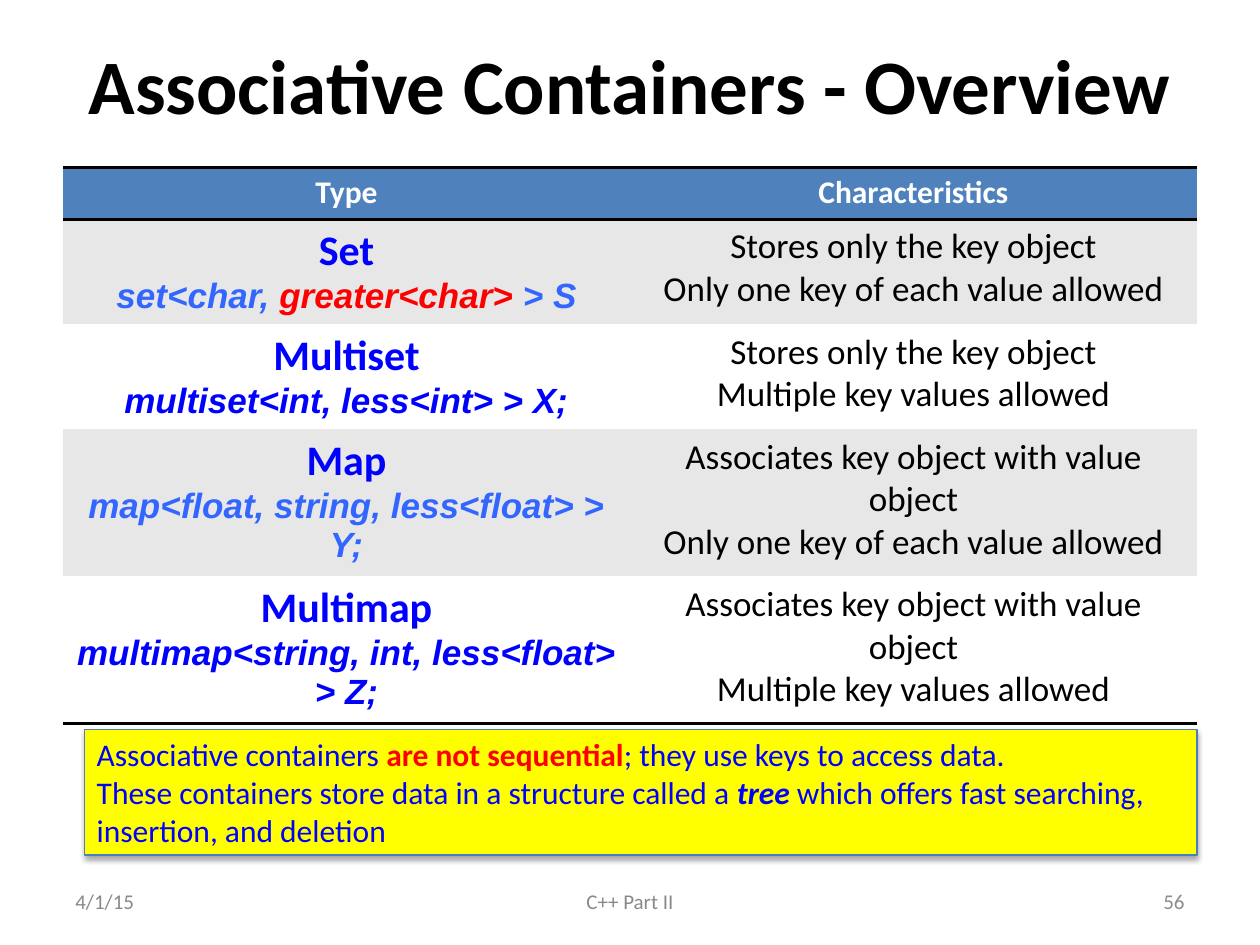
from lxml.etree import SubElement
from pptx import Presentation
from pptx.dml.color import RGBColor
from pptx.enum.shapes import MSO_SHAPE
from pptx.enum.text import MSO_ANCHOR, PP_ALIGN
from pptx.oxml.ns import qn
from pptx.util import Cm, Pt

BLACK, WHITE, BLUE, SKY, RED = "000000", "FFFFFF", "0000FF", "3366FF", "FF0000"
GREY, BAND, HEADER, YELLOW, EDGE = "898989", "E7E7E7", "4F81BD", "FFFF00", "4B7EBC"
LEFT, CENTER, RIGHT = PP_ALIGN.LEFT, PP_ALIGN.CENTER, PP_ALIGN.RIGHT

TITLE = "Associative Containers - Overview"
HEADINGS = ["Type", "Characteristics"]
KEY_ONLY = "Stores only the key object"
KEY_VALUE = "Associates key object with value object"
UNIQUE = "Only one key of each value allowed"
MULTIPLE = "Multiple key values allowed"
CONTAINERS = [
    ("Set", [("set<char, ", SKY), ("greater<char>", RED), (" > S", SKY)],
     [KEY_ONLY, UNIQUE]),
    ("Multiset", [("multiset<int, less<int> > X;", BLUE)],
     [KEY_ONLY, MULTIPLE]),
    ("Map", [("map<float, string, less<float> > Y;", SKY)],
     [KEY_VALUE, UNIQUE]),
    ("Multimap", [("multimap<string, int, less<float> > Z;", BLUE)],
     [KEY_VALUE, MULTIPLE]),
]
ROW_HEIGHT = 1.04
NOTE = [
    [("Associative containers ", BLUE, False, False),
     ("are not sequential", RED, True, False),
     ("; they use keys to access data.", BLUE, False, False)],
    [("These containers store data in a structure called a ", BLUE, False, False),
     ("tree ", BLUE, True, True),
     ("which offers fast searching, insertion, and deletion", BLUE, False, False)],
]
FOOTERS = [
    ("4/1/15", 1.27, 5.93, LEFT, GREY),
    ("C++ Part II", 8.68, 8.04, CENTER, GREY),
    ("56", 18.2, 5.93, RIGHT, "8C8C8C"),
]


def color(value):
    return RGBColor.from_string(value)


def paint(target, value):
    target.fill.solid()
    target.fill.fore_color.rgb = color(value)


def run(text, size, value, bold=False, italic=False, font="Calibri"):
    return text, size, value, bold, italic, font


def write(tf, paragraphs, align):
    for i, runs in enumerate(paragraphs):
        p = tf.add_paragraph() if i else tf.paragraphs[0]
        p.alignment = align
        for text, size, value, bold, italic, font in runs:
            r = p.add_run()
            r.text = text
            r.font.size, r.font.name = Pt(size), font
            r.font.bold, r.font.italic = bold, italic
            r.font.color.rgb = color(value)


def add_text(s, box, item, align):
    tf = s.shapes.add_textbox(*map(Cm, box)).text_frame
    tf.word_wrap = True
    tf.vertical_anchor = MSO_ANCHOR.MIDDLE
    write(tf, [[item]], align)


def set_borders(cell, ruled):
    tc_pr = cell._tc.get_or_add_tcPr()
    for side in ("lnL", "lnR", "lnT", "lnB"):
        ln = SubElement(tc_pr, qn("a:" + side), w=str(Pt(2)))
        if side in ruled:
            fill = SubElement(ln, qn("a:solidFill"))
            SubElement(fill, qn("a:srgbClr"), val=BLACK)
        else:
            SubElement(ln, qn("a:noFill"))


def add_containers(s):
    rows = [[[[run(h, 18, WHITE, True)]] for h in HEADINGS]]
    for name, code, traits in CONTAINERS:
        declaration = [run(t, 20, c, True, True, "Arial") for t, c in code]
        rows.append([[[run(name, 24, BLUE, True)], declaration],
                     [[run(t, 20, BLACK)] for t in traits]])
    last = len(rows) - 1
    rules = {0: ("lnT", "lnB"), 1: ("lnT",), last: ("lnB",)}
    table = s.shapes.add_table(len(rows), len(HEADINGS), Cm(1.27), Cm(3.38),
                               Cm(22.86), Cm(ROW_HEIGHT * len(rows))).table
    for i, row in enumerate(rows):
        for j, paragraphs in enumerate(row):
            cell = table.cell(i, j)
            write(cell.text_frame, paragraphs, CENTER)
            set_borders(cell, rules.get(i, ()))
            paint(cell, HEADER if i == 0 else BAND if i % 2 else WHITE)


def add_note(s):
    sp = s.shapes.add_shape(MSO_SHAPE.RECTANGLE, Cm(1.7), Cm(14.7), Cm(22.43), Cm(2.54))
    paint(sp, YELLOW)
    sp.line.color.rgb = color(EDGE)
    sp.line.width = Pt(0.75)
    sp.shadow.inherit = False
    effects = sp._element.spPr.find(qn("a:effectLst"))
    shadow = SubElement(effects, qn("a:outerShdw"), blurRad=str(Pt(3.1)),
                        dist=str(Pt(1.8)), dir="5400000", rotWithShape="0")
    tint = SubElement(shadow, qn("a:srgbClr"), val=BLACK)
    SubElement(tint, qn("a:alpha"), val="35000")
    tf = sp.text_frame
    tf.word_wrap = True
    tf.vertical_anchor = MSO_ANCHOR.MIDDLE
    write(tf, [[run(t, 18, c, b, i) for t, c, b, i in line] for line in NOTE], LEFT)


def main():
    prs = Presentation()
    prs.slide_width, prs.slide_height = Cm(25.4), Cm(19.05)
    s = prs.slides.add_slide(prs.slide_layouts[6])
    add_text(s, (1.27, 0.56, 22.86, 2.26), run(TITLE, 44, BLACK, True), CENTER)
    add_containers(s)
    for text, left, width, align, value in FOOTERS:
        add_text(s, (left, 17.65, width, 1.02), run(text, 12, value), align)
    add_note(s)
    prs.save("out.pptx")


if __name__ == "__main__":
    main()
